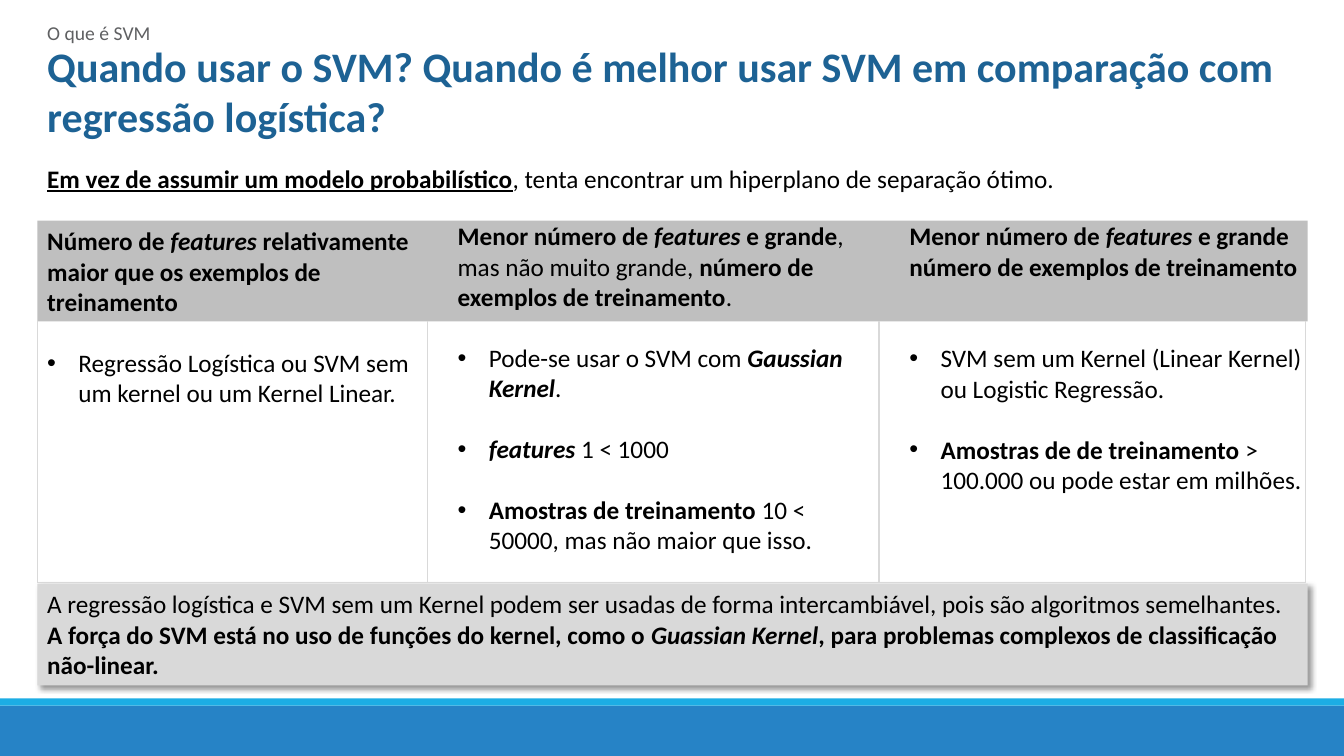
from dataclasses import dataclass

from lxml.etree import SubElement
from pptx import Presentation
from pptx.dml.color import RGBColor
from pptx.enum.shapes import MSO_CONNECTOR, MSO_SHAPE
from pptx.enum.text import MSO_ANCHOR, PP_ALIGN
from pptx.oxml.ns import qn
from pptx.util import Inches, Pt


@dataclass(frozen=True)
class Theme:
    font: str = "Calibri"
    black: str = "000000"
    kicker: str = "5F6062"
    title: str = "1D6294"
    header: str = "BFBFBF"
    note: str = "D9D9D9"
    footer: str = "2683C6"
    accent: str = "1CADE4"
    kicker_size: int = 14
    title_size: int = 30
    body_size: int = 18
    gap: int = 22  # one body line, in points


THEME = Theme()
LEFT, WIDTH = 0.37, 12.6
GRID_TOP, GRID_BOTTOM = 3.18, 5.78
GRID_XS = (LEFT, 4.24, 8.72, 12.95)

BOLD = {"bold": True}
BOLD_ITALIC = {"bold": True, "italic": True}
UNDERLINED = {"bold": True, "underline": True}

# Each column: position, header runs, gap lines below header, bullets
COLUMNS = [
    ((LEFT, 2.19, 3.88, 1.92),
     [("Número de ", BOLD), ("features", BOLD_ITALIC),
      (" relativamente maior que os exemplos de treinamento", BOLD)],
     1,
     [[("Regressão Logística ou SVM sem um kernel ou um Kernel Linear.", {})]]),
    ((4.44, 2.14, 4.28, 3.43),
     [("Menor número de ", BOLD), ("features", BOLD_ITALIC), (" e grande", BOLD),
      (", mas não muito grande, ", {}),
      ("número de exemplos de treinamento", BOLD), (".", {})],
     1,
     [[("Pode-se usar o SVM com ", {}), ("Gaussian Kernel", BOLD_ITALIC), (".", {})],
      [("features", BOLD_ITALIC), (" 1 < 1000", {})],
      [("Amostras de treinamento ", BOLD),
       ("10 < 50000, mas não maior que isso.", {})]]),
    ((8.92, 2.14, 4.28, 2.83),
     [("Menor número de ", BOLD), ("features", BOLD_ITALIC),
      (" e grande número de exemplos de treinamento", BOLD)],
     2,
     [[("SVM sem um Kernel (Linear Kernel) ou Logistic Regressão.", {})],
      [("Amostras de de treinamento", BOLD),
       (" > 100.000 ou pode estar em milhões.", {})]]),
]

NOTE = [
    [("A regressão logística e SVM sem um Kernel podem ser usadas de forma "
      "intercambiável, pois são algoritmos semelhantes.", {})],
    [("A força do SVM está no uso de funções do kernel, como o ", BOLD),
     ("Guassian Kernel", BOLD_ITALIC),
     (", para problemas complexos de classificação não-linear.", BOLD)],
]


def add_rect(s, box, fill):
    sp = s.shapes.add_shape(MSO_SHAPE.RECTANGLE, *map(Inches, box))
    sp.shadow.inherit = False
    sp.fill.solid()
    sp.fill.fore_color.rgb = RGBColor.from_string(fill)
    sp.line.fill.background()
    return sp


def add_text_box(s, box):
    tf = s.shapes.add_textbox(*map(Inches, box)).text_frame
    tf.word_wrap = True
    return tf


def write(p, runs, size=THEME.body_size, color=THEME.black):
    p.alignment = PP_ALIGN.LEFT
    for text, formats in runs:
        r = p.add_run()
        r.text = text
        for name, value in {"name": THEME.font, "size": Pt(size), **formats}.items():
            setattr(r.font, name, value)
        r.font.color.rgb = RGBColor.from_string(color)


def set_bullet(p):
    pPr = p._p.get_or_add_pPr()
    pPr.set("marL", str(Inches(0.31)))
    pPr.set("indent", str(Inches(-0.31)))
    SubElement(pPr, qn("a:buFont"), typeface="Arial")
    SubElement(pPr, qn("a:buChar"), char="•")


def add_column(s, box, header, header_gap, bullets):
    tf = add_text_box(s, box)
    write(tf.paragraphs[0], header)
    for i, runs in enumerate(bullets):
        p = tf.add_paragraph()
        p.space_before = Pt(THEME.gap * (1 if i else header_gap))
        set_bullet(p)
        write(p, runs)


def add_shadow(sp):
    effects = sp._element.spPr.find(qn("a:effectLst"))
    shadow = SubElement(effects, qn("a:outerShdw"), blurRad=str(Pt(4)),
                        dist=str(Pt(3)), dir="2700000", algn="tl", rotWithShape="0")
    color = SubElement(shadow, qn("a:srgbClr"), val=THEME.black)
    SubElement(color, qn("a:alpha"), val="40000")


def add_note(s, box, paragraphs):
    sp = add_rect(s, box, THEME.note)
    add_shadow(sp)
    tf = sp.text_frame
    tf.word_wrap = True
    tf.vertical_anchor = MSO_ANCHOR.TOP
    for i, runs in enumerate(paragraphs):
        write(tf.add_paragraph() if i else tf.paragraphs[0], runs)


def add_line(s, x1, y1, x2, y2):
    line = s.shapes.add_connector(MSO_CONNECTOR.STRAIGHT,
                                  *map(Inches, (x1, y1, x2, y2)))
    line.line.color.rgb = RGBColor.from_string(THEME.note)
    line.line.width = Pt(1)
    SubElement(line._element.spPr, qn("a:effectLst"))


def add_heading(s):
    tf = add_text_box(s, (LEFT, 0.18, WIDTH, 0.26))
    tf.paragraphs[0].line_spacing = 0.9
    write(tf.paragraphs[0], [("O que é SVM", {})], THEME.kicker_size, THEME.kicker)

    tf = add_text_box(s, (LEFT, 0.4, WIDTH, 0.43))
    tf.margin_top = 0
    write(tf.paragraphs[0],
          [("Quando usar o SVM? Quando é melhor usar SVM em comparação com "
            "regressão logística?", BOLD)], THEME.title_size, THEME.title)

    tf = add_text_box(s, (LEFT, 1.57, 12.43, 0.4))
    write(tf.paragraphs[0],
          [("Em vez de assumir um modelo probabilístico", UNDERLINED),
           (", tenta encontrar um hiperplano de separação ótimo.", {})])


def main():
    prs = Presentation()
    prs.slide_width, prs.slide_height = Inches(13.33), Inches(7.5)
    s = prs.slides.add_slide(prs.slide_layouts[6])

    # Footer bands
    add_rect(s, (0, 7, 13.33, 0.5), THEME.footer)
    add_rect(s, (0, 6.93, 13.33, 0.07), THEME.accent)

    # Heading and introduction
    add_heading(s)

    # Comparison columns on a header band
    add_rect(s, (LEFT, 2.19, WIDTH, 1), THEME.header)
    for column in COLUMNS:
        add_column(s, *column)

    # Closing note
    add_note(s, (LEFT, 5.79, WIDTH, 1.01), NOTE)

    # Column rules
    for x in GRID_XS:
        add_line(s, x, GRID_TOP, x, GRID_BOTTOM)
    add_line(s, GRID_XS[0], GRID_BOTTOM, GRID_XS[-1], GRID_BOTTOM)

    prs.save("out.pptx")


if __name__ == "__main__":
    main()
